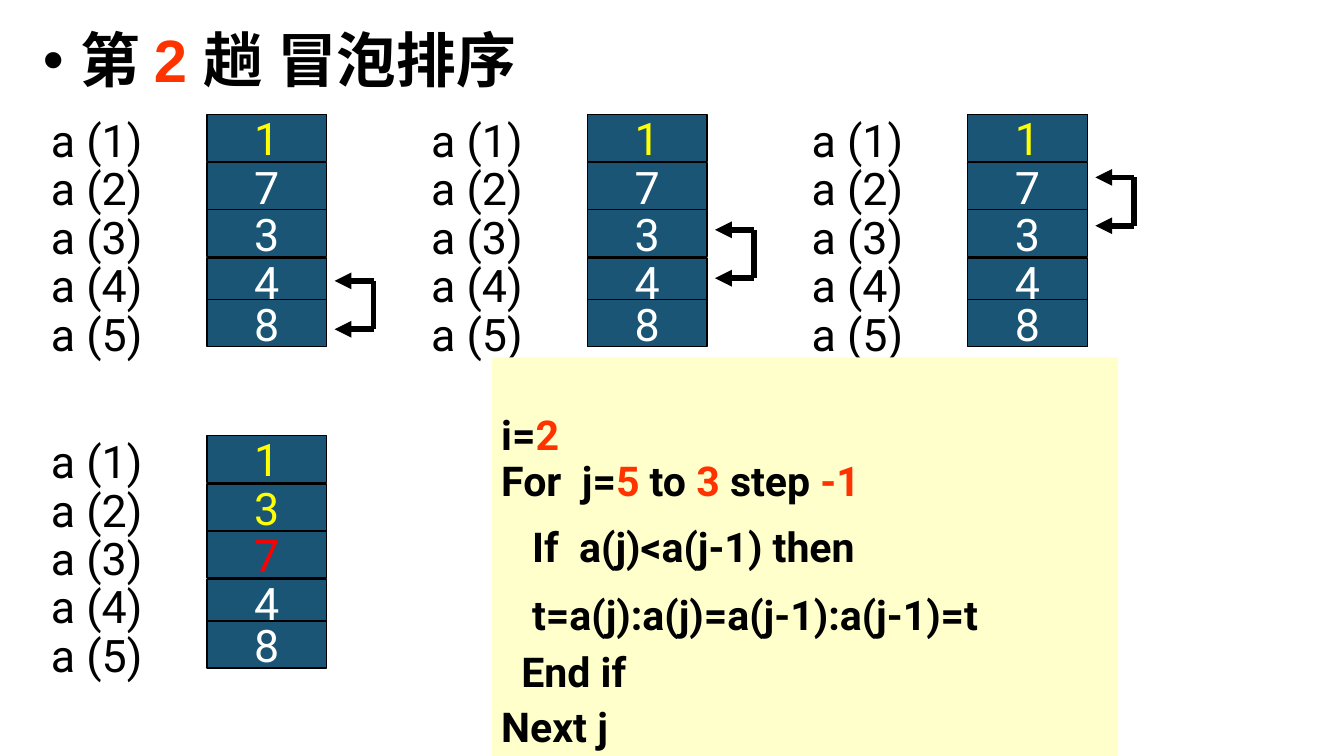
from lxml import etree
from pptx import Presentation
from pptx.dml.color import RGBColor
from pptx.enum.shapes import MSO_CONNECTOR, MSO_SHAPE
from pptx.enum.text import MSO_ANCHOR, PP_ALIGN
from pptx.oxml.ns import qn
from pptx.util import Inches, Pt

RECT = MSO_SHAPE.RECTANGLE
LINE = MSO_CONNECTOR.STRAIGHT
MIDDLE, TOP = MSO_ANCHOR.MIDDLE, MSO_ANCHOR.TOP
CENTER, LEFT = PP_ALIGN.CENTER, PP_ALIGN.LEFT
BLACK, WHITE, YELLOW = "000000", "FFFFFF", "FFFF00"
RED, ORANGE, BLUE, CREAM = "FF0000", "FF3300", "1A5575", "FFFFCC"
rgb = RGBColor.from_string

PLAIN = {"name": "Roboto", "size": Pt(24)}
CODE = {"name": "Roboto", "size": Pt(22), "bold": True}
HEAD = {"name": "Arial", "size": Pt(32), "bold": True}
TIGHT = {"margin_left": Inches(0.07), "margin_right": Inches(0.07),
         "margin_top": Inches(0.04), "margin_bottom": Inches(0.04),
         "word_wrap": True, "vertical_anchor": TOP}


def write(para, runs, form):
    """Add (text, colour) runs to a paragraph in one font format."""
    for text, color in runs:
        run = para.add_run()
        run.text = text
        for key, value in form.items():
            setattr(run.font, key, value)
        run.font.color.rgb = rgb(color)


deck = Presentation()
deck.slide_width = Inches(10)
deck.slide_height = Inches(10) * 9 // 16
slide = deck.slides.add_slide(deck.slide_layouts[6])
shapes = slide.shapes

# Heading with a bullet
box = shapes.add_textbox(Inches(0.25), Inches(0.19), Inches(4.2), Inches(0.45))
for key, value in TIGHT.items():
    setattr(box.text_frame, key, value)
para = box.text_frame.paragraphs[0]
para.line_spacing = 0.9
props = para._p.get_or_add_pPr()
props.set("marL", str(Inches(0.28)))
props.set("indent", str(Inches(-0.28)))
etree.SubElement(props, qn("a:buFont")).set("typeface", "Arial")
etree.SubElement(props, qn("a:buChar")).set("char", "•")
write(para, [("第 ", BLACK), ("2 ", ORANGE), ("趟 冒泡排序", BLACK)], HEAD)

# Array states: left, top, values, colours, top of the swap bracket
STEP = 2.83
FIRST = [YELLOW, WHITE, WHITE, WHITE, WHITE]
STATES = [
    (0.28, 0.79, "17348", FIRST, 2.09),
    (0.28 + STEP, 0.79, "17348", FIRST, 1.71),
    (0.28 + 2 * STEP, 0.79, "17348", FIRST, 1.32),
    (0.28, 3.18, "13748", [YELLOW, YELLOW, RED, WHITE, WHITE], None),
]
CELLS = [0.06, 0.42, 0.77, 1.13, 1.44]

for left, top, values, colors, swap in STATES:
    for row, (value, color) in enumerate(zip(values, colors)):
        cell = shapes.add_shape(RECT, Inches(left + 1.26), Inches(top + CELLS[row]),
                                Inches(0.89), Inches(0.35))
        cell.shadow.inherit = False
        cell.fill.solid()
        cell.fill.fore_color.rgb = rgb(BLUE)
        cell.line.color.rgb = rgb(BLACK)
        cell.line.width = Pt(0.75)
        cell.text_frame.word_wrap = False
        cell.text_frame.vertical_anchor = MIDDLE
        para = cell.text_frame.paragraphs[0]
        para.alignment = CENTER
        write(para, [(value, color)], PLAIN)

        label = shapes.add_textbox(Inches(left), Inches(top + 0.36 * row),
                                   Inches(1.08), Inches(0.51))
        label.text_frame.word_wrap = True
        write(label.text_frame.paragraphs[0], [(f"a ({row + 1})", BLACK)], PLAIN)

    if swap is None:
        continue
    side, tip, low = left + 2.5, left + 2.21, swap + 0.36
    for end_x, start_y, end_y in [(side, swap, low), (tip, swap, swap), (tip, low, low)]:
        link = shapes.add_connector(LINE, Inches(side), Inches(start_y),
                                    Inches(end_x), Inches(end_y))
        link.line.color.rgb = rgb(BLACK)
        link.line.width = Pt(3)
        if end_x == tip:
            etree.SubElement(link.line._get_or_add_ln(), qn("a:tailEnd")).set("type", "triangle")
        etree.SubElement(link._element.spPr, qn("a:effectLst"))

# Code panel: indent, line spacing, points before, runs
LINES = [
    (0, 1, 0, [("i=", BLACK), ("2", ORANGE)]),
    (0, 0.5, 9.5, [("For  j=", BLACK), ("5 ", ORANGE), ("to ", BLACK),
                   ("3 ", ORANGE), ("step", BLACK), (" -1", ORANGE)]),
    (0.23, 1, 10.5, [("If  a(j)<a(j-1) then", BLACK)]),
    (0.23, 1, 10.5, [("t=a(j):a(j)=a(j-1):a(j-1)=t", BLACK)]),
    (0.15, 0.7, 11, [("End if", BLACK)]),
    (0, 0.7, 11, [("Next j", BLACK)]),
]
panel = shapes.add_shape(RECT, Inches(3.66), Inches(2.66), Inches(4.66), Inches(3.56))
panel.shadow.inherit = False
panel.fill.solid()
panel.fill.fore_color.rgb = rgb(CREAM)
panel.line.fill.background()
frame = panel.text_frame
for key, value in {**TIGHT, "margin_top": Inches(0.39)}.items():
    setattr(frame, key, value)
for row, (indent, spacing, before, runs) in enumerate(LINES):
    para = frame.add_paragraph() if row else frame.paragraphs[0]
    para.alignment = LEFT
    para.line_spacing = spacing
    para.space_before = Pt(before)
    para._p.get_or_add_pPr().set("marL", str(Inches(indent)))
    write(para, runs, CODE)

deck.save("out.pptx")
